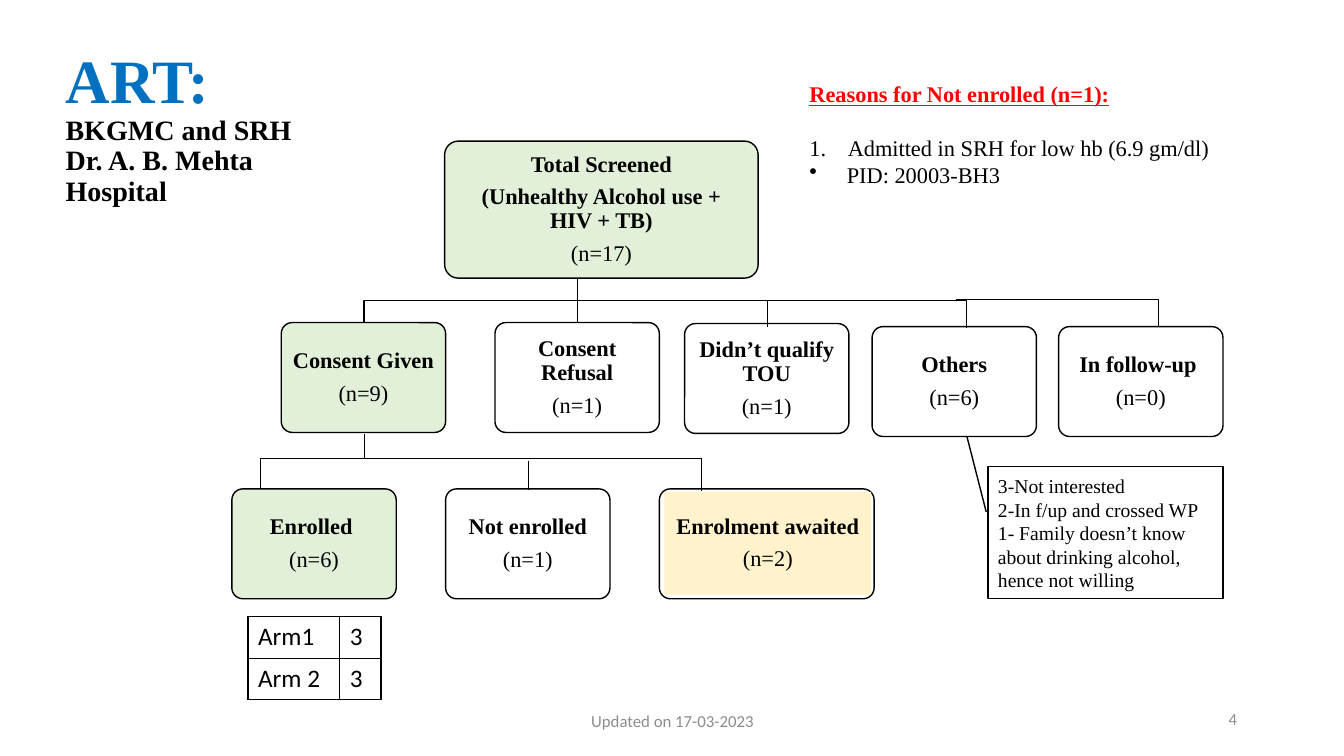
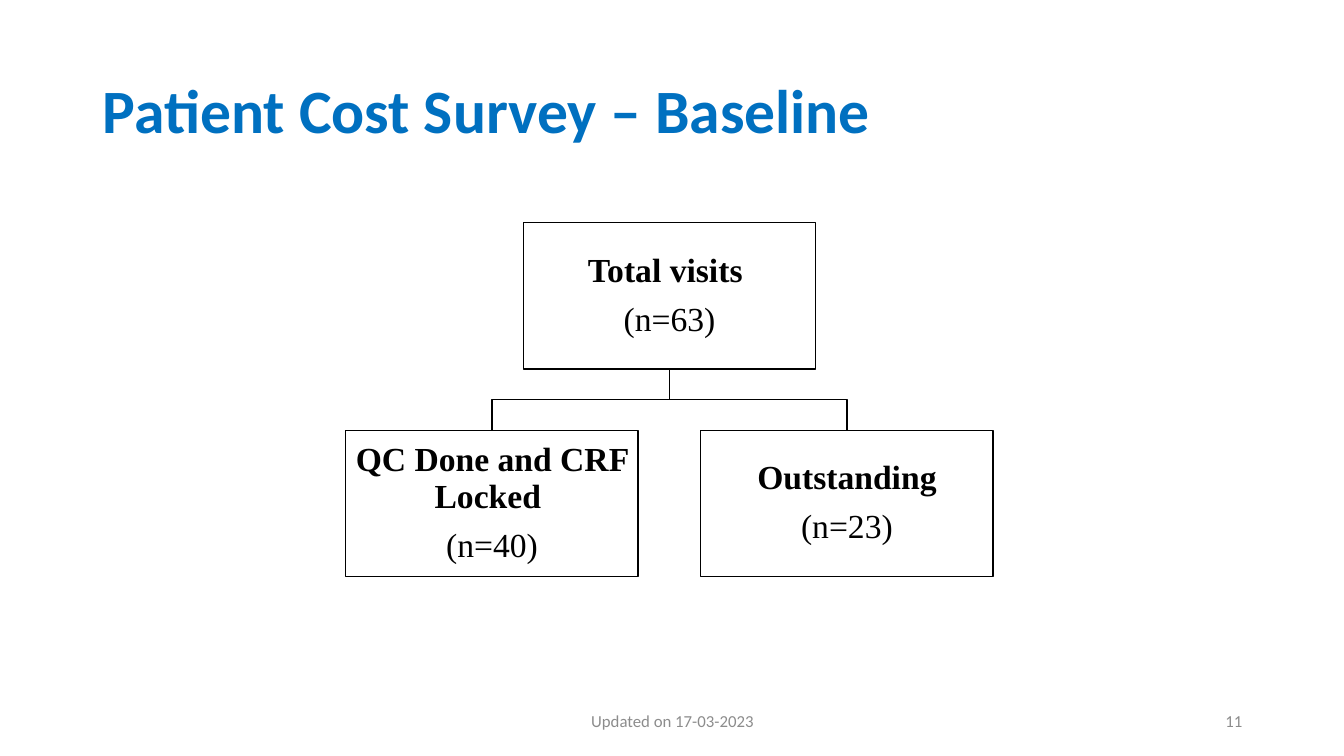
import pptx
import pptx.dml.color
import pptx.enum.shapes
import pptx.enum.text
import pptx.oxml.ns
import pptx.util
from lxml import etree
from pptx.dml.color import RGBColor
from pptx.util import Inches, Pt

SHAPES = pptx.enum.shapes.MSO_SHAPE
ALIGN = pptx.enum.text.PP_ALIGN
MIDDLE = pptx.enum.text.MSO_ANCHOR.MIDDLE
TOP = pptx.enum.text.MSO_ANCHOR.TOP

BLUE = RGBColor(0x00, 0x70, 0xC0)
BLACK = RGBColor(0x00, 0x00, 0x00)
RED = RGBColor(0xFF, 0x00, 0x00)
GREY = RGBColor(0x8C, 0x8C, 0x8C)
WHITE = RGBColor(0xFF, 0xFF, 0xFF)
GREEN = RGBColor(0xE2, 0xF0, 0xD9)
YELLOW = RGBColor(0xFF, 0xF2, 0xCC)
SERIF = "Times New Roman"
SANS = "Calibri"

FOOTER = "Updated on 17-03-2023"

# Enrolment slide: paragraphs are (text, size, bold, colour)
ART_TITLE = [
    ("ART:", 44, True, BLUE),
    ("BKGMC and SRH\vDr. A. B. Mehta Hospital", 20, True, BLACK),
]
REASONS = [
    ("Reasons for Not enrolled (n=1):", 16, True, RED),
    ("Admitted in SRH for low hb (6.9 gm/dl)", 16, False, BLACK),
    ("PID: 20003-BH3", 16, False, BLACK),
]
OTHER_REASONS = [
    "3-Not interested",
    "2-In f/up and crossed WP",
    "1- Family doesn’t know about drinking alcohol, hence not willing",
]
ARMS = [("Arm1", "3"), ("Arm 2", "3")]
ARM_COLUMNS = (0.91, 0.41)
ARM_ROW = 0.41

CARD_WIDTH, CARD_HEIGHT = 1.63, 1.09
SCREENED = (["Total Screened", "(Unhealthy Alcohol use + HIV + TB)"], "(n=17)")
# (headings, count, left, top, width, fill)
CARDS = [
    (["Consent Given"], "(n=9)", 2.79, 3.2, CARD_WIDTH, GREEN),
    (["Consent Refusal"], "(n=1)", 4.91, 3.2, CARD_WIDTH, WHITE),
    (["Didn’t qualify TOU"], "(n=1)", 6.79, 3.21, CARD_WIDTH, WHITE),
    (["Others"], "(n=6)", 8.65, 3.24, CARD_WIDTH, WHITE),
    (["In follow-up "], "(n=0)", 10.5, 3.24, CARD_WIDTH, WHITE),
    (["Enrolled "], "(n=6)", 2.3, 4.85, CARD_WIDTH, GREEN),
    (["Not enrolled"], "(n=1)", 4.42, 4.85, CARD_WIDTH, WHITE),
]
AWAITED = (["Enrolment awaited"], "(n=2)")
AWAITED_BOX = (6.54, 4.85, 2.13, CARD_HEIGHT)
AWAITED_PANEL = (6.59, 4.88, 2.05, 1.02)
# (line width, points)
BRANCHES = [
    (1, [(5.73, 2.76), (5.73, 2.98), (3.61, 2.98), (3.61, 3.2)]),
    (1, [(5.73, 2.76), (5.73, 3.2)]),
    (0.5, [(5.49, 2.98), (7.61, 2.98), (7.61, 3.24)]),
    (0.5, [(7.58, 2.98), (9.58, 2.98), (9.58, 3.25)]),
    (0.5, [(9.48, 2.97), (11.49, 2.97), (11.49, 3.24)]),
    (0.5, [(3.61, 4.31), (3.61, 4.55)]),
    (0.5, [(2.58, 4.55), (6.96, 4.55)]),
    (0.5, [(2.58, 4.55), (2.58, 4.84)]),
    (0.5, [(5.24, 4.57), (5.24, 4.86)]),
    (0.5, [(6.96, 4.55), (6.96, 4.87)]),
]

# Survey slide
SURVEY_TITLE = [("Patient Cost Survey – Baseline ", 44, True, BLUE)]
VISITS = (["Total visits "], "(n=63)")
VISIT_OUTCOMES = [
    (["QC Done and CRF Locked "], "(n=40)"),
    (["Outstanding"], "(n=23)"),
]
VISIT_WIDTH, VISIT_HEIGHT = 2.9, 1.45
VISIT_CENTRE, VISIT_SPREAD = 6.64, 1.76
VISIT_TOP, OUTCOME_TOP = 2.21, 4.27


def inches(values):
    """Turn a sequence of numbers into lengths."""
    return [Inches(value) for value in values]


def write_text(shape, paragraphs, font=SERIF, align=ALIGN.LEFT, anchor=MIDDLE,
               spacing=None, after=0, inset=None):
    """Fill a shape with (text, size, bold, colour) paragraphs."""
    frame = shape.text_frame
    frame.word_wrap = True
    frame.auto_size = pptx.enum.text.MSO_AUTO_SIZE.NONE
    frame.vertical_anchor = anchor
    if inset is not None:
        frame.margin_left = frame.margin_right = Inches(inset)
        frame.margin_top = frame.margin_bottom = Inches(inset)
    for index, (text, size, bold, colour) in enumerate(paragraphs):
        paragraph = frame.add_paragraph() if index else frame.paragraphs[0]
        paragraph.text = text
        paragraph.alignment = align
        paragraph.space_before = Pt(0)
        paragraph.space_after = Pt(after)
        if spacing:
            paragraph.line_spacing = spacing
        for run in paragraph.runs:
            run.font.name = font
            run.font.size = Pt(size)
            run.font.bold = bold
            run.font.color.rgb = colour


def add_box(slide, kind, box, fill=None, line=1):
    """Add a preset shape without shadow."""
    shape = slide.shapes.add_shape(kind, *inches(box))
    shape.shadow.inherit = False
    if fill is None:
        shape.fill.background()
    else:
        shape.fill.solid()
        shape.fill.fore_color.rgb = fill
    if line:
        shape.line.color.rgb = BLACK
        shape.line.width = Pt(line)
    else:
        shape.line.fill.background()
    return shape


def add_card_box(slide, box, fill):
    """Add a rounded card outline."""
    card = add_box(slide, SHAPES.ROUNDED_RECTANGLE, box, fill)
    card.adjustments[0] = 0.1
    return card


def write_count(shape, label, size, inset):
    """Write bold headings above a plain count."""
    headings, count = label
    paragraphs = [(heading, size, True, BLACK) for heading in headings]
    write_text(shape, paragraphs + [(count, size, False, BLACK)], align=ALIGN.CENTER,
               spacing=0.9, after=0.375 * size, inset=inset)


def add_branch(slide, points, width):
    """Draw a straight connector, or an open outline when there are bends."""
    corners = [inches(point) for point in points]
    if len(corners) == 2:
        branch = slide.shapes.add_connector(
            pptx.enum.shapes.MSO_CONNECTOR.STRAIGHT, *corners[0], *corners[1])
        etree.SubElement(branch.element.spPr, pptx.oxml.ns.qn("a:effectLst"))
    else:
        builder = slide.shapes.build_freeform(*corners[0], scale=1.0)
        builder.add_line_segments(corners[1:], close=False)
        branch = builder.convert_to_shape()
        branch.shadow.inherit = False
        branch.fill.background()
    branch.line.color.rgb = BLACK
    branch.line.width = Pt(width)


def set_bullet(paragraph, tag, attribute, value, indent):
    """Give a paragraph a hanging bullet or number."""
    properties = paragraph._p.get_or_add_pPr()
    properties.set("marL", str(Inches(indent)))
    properties.set("indent", str(-Inches(indent)))
    etree.SubElement(properties, pptx.oxml.ns.qn(tag)).set(attribute, value)


def set_borders(cell):
    """Draw a thin black border on all sides of a cell."""
    properties = cell._tc.get_or_add_tcPr()
    for index, side in enumerate(("lnL", "lnR", "lnT", "lnB")):
        border = etree.Element(pptx.oxml.ns.qn("a:" + side), w=str(Pt(1)))
        fill = etree.SubElement(border, pptx.oxml.ns.qn("a:solidFill"))
        etree.SubElement(fill, pptx.oxml.ns.qn("a:srgbClr"), val=str(BLACK))
        properties.insert(index, border)


def add_arm_table(slide):
    """Add the table of enrolled patients per arm."""
    frame = slide.shapes.add_table(
        len(ARMS), len(ARM_COLUMNS),
        *inches((2.46, 6.12, sum(ARM_COLUMNS), ARM_ROW * len(ARMS))))
    table = frame.table
    table.first_row = table.horz_banding = False
    for column, width in zip(table.columns, ARM_COLUMNS):
        column.width = Inches(width)
    for row, values in zip(table.rows, ARMS):
        row.height = Inches(ARM_ROW)
        for cell, value in zip(row.cells, values):
            cell.fill.background()
            set_borders(cell)
            cell.text = value
            font = cell.text_frame.paragraphs[0].runs[0].font
            font.name, font.size, font.color.rgb = SANS, Pt(18), BLACK


def add_slide(presentation, title, title_box, title_font, number, number_box):
    """Add a slide with its title, footer and number."""
    slide = presentation.slides.add_slide(presentation.slide_layouts[5])
    heading = slide.shapes.title
    heading.left, heading.top, heading.width, heading.height = inches(title_box)
    write_text(heading, title, title_font, spacing=0.9)
    for text, box, align in ((FOOTER, (4.42, 6.95, 4.5, 0.4), ALIGN.CENTER),
                             (number, number_box, ALIGN.RIGHT)):
        write_text(slide.shapes.add_textbox(*inches(box)), [(text, 12, False, GREY)],
                   SANS, align)
    return slide


def build_enrolment(presentation):
    """Build the screening and enrolment chart."""
    slide = add_slide(presentation, ART_TITLE, (0.55, 0.55, 2.97, 1.45), SERIF,
                      "4", (9.37, 6.93, 3, 0.4))
    screened = add_card_box(slide, (4.41, 1.4, 3.11, 1.36), GREEN)
    write_count(screened, SCREENED, 16, 0.1)
    for headings, count, left, top, width, fill in CARDS:
        card = add_card_box(slide, (left, top, width, CARD_HEIGHT), fill)
        write_count(card, (headings, count), 16, 0.06)
    add_card_box(slide, AWAITED_BOX, WHITE)
    panel = add_box(slide, SHAPES.RECTANGLE, AWAITED_PANEL, YELLOW, line=None)
    write_count(panel, AWAITED, 16, 0.06)
    for width, points in BRANCHES:
        add_branch(slide, points, width)

    callout = add_box(slide, SHAPES.LINE_CALLOUT_1, (9.8, 4.63, 2.33, 1.31))
    for index, value in enumerate((0.342, -0.008, -0.229, -0.09)):
        callout.adjustments[index] = value
    write_text(callout, [(reason, 14, False, BLACK) for reason in OTHER_REASONS])

    reasons = slide.shapes.add_textbox(*inches((7.93, 0.75, 4.31, 1.18)))
    write_text(reasons, REASONS, anchor=TOP)
    heading, numbered, bulleted = reasons.text_frame.paragraphs
    heading.runs[0].font.underline = True
    heading.space_after = Pt(19)
    set_bullet(numbered, "a:buAutoNum", "type", "arabicPeriod", 0.38)
    set_bullet(bulleted, "a:buChar", "char", "•", 0.37)
    add_arm_table(slide)


def build_survey(presentation):
    """Build the visit tree of the cost survey."""
    slide = add_slide(presentation, SURVEY_TITLE, (0.92, 0.4, 11.5, 1.45), SANS,
                      "11", (9.42, 6.95, 3, 0.4))
    bottom = VISIT_TOP + VISIT_HEIGHT
    middle = (bottom + OUTCOME_TOP) / 2
    boxes = [(VISITS, VISIT_CENTRE, VISIT_TOP)]
    for side, outcome in zip((-1, 1), VISIT_OUTCOMES):
        centre = VISIT_CENTRE + side * VISIT_SPREAD
        boxes.append((outcome, centre, OUTCOME_TOP))
        add_branch(slide, [(VISIT_CENTRE, bottom), (VISIT_CENTRE, middle),
                           (centre, middle), (centre, OUTCOME_TOP)], 1)
    for label, centre, top in boxes:
        box = (centre - VISIT_WIDTH / 2, top, VISIT_WIDTH, VISIT_HEIGHT)
        write_count(add_box(slide, SHAPES.RECTANGLE, box), label, 24, 0.02)


presentation = pptx.Presentation()
presentation.slide_width, presentation.slide_height = inches((13.33, 7.5))
build_enrolment(presentation)
build_survey(presentation)
presentation.save("out.pptx")
